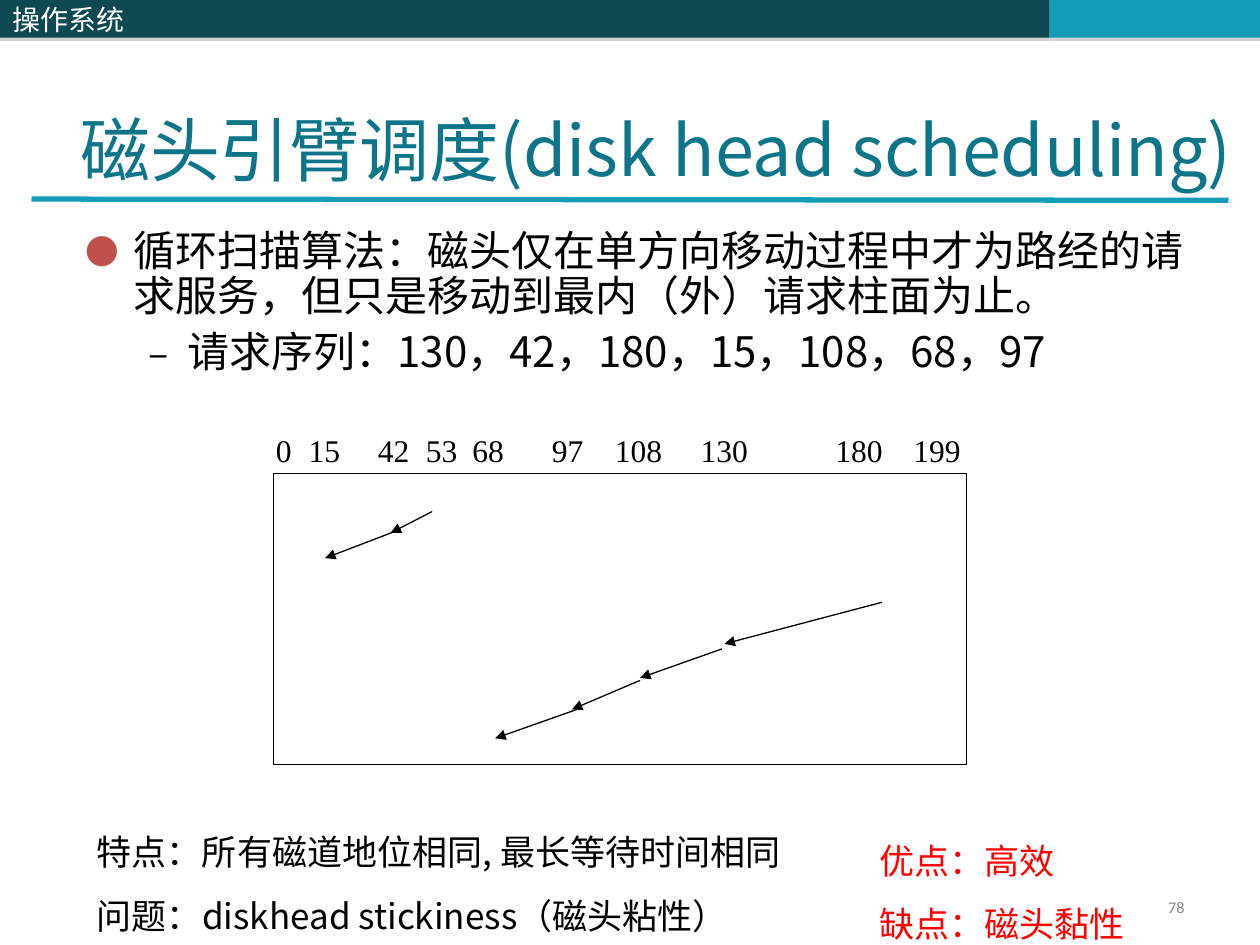
"""Build the disk head scheduling slide on the circular scan algorithm."""
from lxml import etree
from pptx import Presentation
from pptx.dml.color import RGBColor
from pptx.enum.shapes import MSO_CONNECTOR as Connector, MSO_SHAPE as Preset
from pptx.enum.text import MSO_ANCHOR as Anchor, PP_ALIGN as Align
from pptx.oxml.ns import qn
from pptx.util import Inches, Pt

COLORS = {"dark": "0E4851", "teal": "139CB7", "title": "0E7589", "bullet": "C0504D",
          "shadow": "808080", "page": "898989", "black": "000000", "white": "FFFFFF",
          "red": "FF0000"}
SANS = "Noto Sans CJK SC"


def write(shape, lines, size, color, font=SANS, align=Align.LEFT, anchor=Anchor.TOP,
          spacing=None, before=0):
    frame = shape.text_frame
    frame.word_wrap = True
    frame.vertical_anchor = anchor
    frame.text = "\n".join(lines)
    for index, paragraph in enumerate(frame.paragraphs):
        paragraph.alignment = align
        paragraph.line_spacing = spacing
        paragraph.space_before = Pt(before if index else 0)
        for run in paragraph.runs:
            run.font.name = font
            run.font.size = Pt(size)
            run.font.color.rgb = RGBColor.from_string(COLORS[color])
            etree.SubElement(run._r.get_or_add_rPr(), qn("a:ea"), typeface=font)
    return frame


def draw_line(start, end, color, width):
    line = slide.shapes.add_connector(Connector.STRAIGHT, *map(Inches, start + end))
    line.line.color.rgb = RGBColor.from_string(COLORS[color])
    line.line.width = Pt(width)
    etree.SubElement(line._element.spPr, qn("a:effectLst"))
    return line


deck = Presentation()
deck.slide_width, deck.slide_height = Inches(10), Inches(7.5)
slide = deck.slides.add_slide(deck.slide_layouts[6])

for left, width, color, label in [(4.08, 4.25, "dark", ""), (8.33, 1.67, "teal", ""),
                                  (0, 4.08, "dark", "操作系统")]:
    band = slide.shapes.add_shape(Preset.RECTANGLE, Inches(left), 0, Inches(width), Inches(0.3))
    band.shadow.inherit = False
    band.fill.solid()
    band.fill.fore_color.rgb = RGBColor.from_string(COLORS[color])
    band.line.fill.background()
    effects = band._element.spPr.find(qn("a:effectLst"))
    shadow = etree.SubElement(effects, qn("a:outerShdw"), blurRad="0",
                              dist=str(Pt(1.8)), dir="5400000", rotWithShape="0")
    shade = etree.SubElement(shadow, qn("a:srgbClr"), val=COLORS["shadow"])
    etree.SubElement(shade, qn("a:alpha"), val="35000")
    if label:
        write(band, [label], 16, "white", anchor=Anchor.MIDDLE)

draw_line((0.25, 1.58), (9.75, 1.59), "teal", 3)

page_number = slide.shapes.add_textbox(Inches(7.17), Inches(7.08), Inches(2.33), Inches(0.27))
write(page_number, ["78"], 9.3, "page", "Calibri", Align.RIGHT, Anchor.MIDDLE, 0.8)

title = slide.shapes.add_textbox(Inches(0.08), Inches(0.55), Inches(10.25), Inches(1.25))
write(title, ["磁头引臂调度(disk head scheduling)"], 40, "title",
      align=Align.CENTER, anchor=Anchor.MIDDLE)

algorithm = slide.shapes.add_textbox(Inches(0.58), Inches(1.77), Inches(8.92), Inches(1.8))
points = write(algorithm, [
    "循环扫描算法：磁头仅在单方向移动过程中才为路经的请求服务，但只是移动到最内（外）请求柱面为止。",
    "请求序列：130，42，180，15，108，68，97",
], 24, "black", spacing=Pt(26), before=6).paragraphs
points[1].level = 1
for point, margin, hanging, color, percent, mark in [
        (points[0], 0.38, 0.38, "bullet", 80, "●"), (points[1], 0.81, 0.31, "black", 90, "–")]:
    properties = point._p.get_or_add_pPr()
    properties.set("marL", str(Inches(margin)))
    properties.set("indent", str(-Inches(hanging)))
    bullet_color = etree.SubElement(properties, qn("a:buClr"))
    etree.SubElement(bullet_color, qn("a:srgbClr"), val=COLORS[color])
    etree.SubElement(properties, qn("a:buSzPct"), val=str(percent * 1000))
    etree.SubElement(properties, qn("a:buFont"), typeface=SANS)
    etree.SubElement(properties, qn("a:buChar"), char=mark)

traits = slide.shapes.add_textbox(Inches(0.67), Inches(6.54), Inches(8.92), Inches(0.9))
write(traits, ["特点：所有磁道地位相同, 最长等待时间相同", "问题：diskhead stickiness（磁头粘性）"],
      20, "black", spacing=Pt(24), before=12.5)

disk = slide.shapes.add_shape(Preset.RECTANGLE, Inches(2.17), Inches(3.76),
                              Inches(5.5), Inches(2.31))
disk.shadow.inherit = False
disk.fill.background()
disk.line.color.rgb = RGBColor.from_string(COLORS["black"])
disk.line.width = Pt(0.75)

track_offsets = {15: 0.26, 42: 0.81, 53: 1.19, 68: 1.56, 97: 2.19,
                 108: 2.69, 130: 3.37, 180: 4.44, 199: 5.06}
tracks = slide.shapes.add_textbox(Inches(2.17), Inches(3.42), Inches(5.5), Inches(0.41))
scale = write(tracks, ["\t".join(map(str, [0, *track_offsets]))], 18, "black", "Times New Roman")
scale.margin_left = scale.margin_right = Inches(0.02)
scale.margin_top = scale.margin_bottom = 0
tab_list = etree.SubElement(scale.paragraphs[0]._p.get_or_add_pPr(), qn("a:tabLst"))
for offset in track_offsets.values():
    etree.SubElement(tab_list, qn("a:tab"), pos=str(Inches(offset)), algn="l")

head_moves = [((3.43, 4.06), (3.1, 4.23)), ((3.18, 4.2), (2.58, 4.43)),
              ((7, 4.78), (5.75, 5.11)), ((5.73, 5.15), (5.08, 5.38)),
              ((5.08, 5.4), (4.54, 5.63)), ((4.58, 5.63), (3.93, 5.86))]
for start, end in head_moves:
    move = draw_line(start, end, "black", 0.75)
    etree.SubElement(move.line._get_or_add_ln(), qn("a:tailEnd"), type="triangle")

verdict = slide.shapes.add_textbox(Inches(6.38), Inches(6.45), Inches(5), Inches(1.1))
for judgement in write(verdict, ["优点：高效", "缺点：磁头黏性"], 20, "red",
                       spacing=Pt(36)).paragraphs:
    judgement.level = 1
    judgement._p.get_or_add_pPr().set("marL", str(Inches(0.5)))

deck.save("out.pptx")
